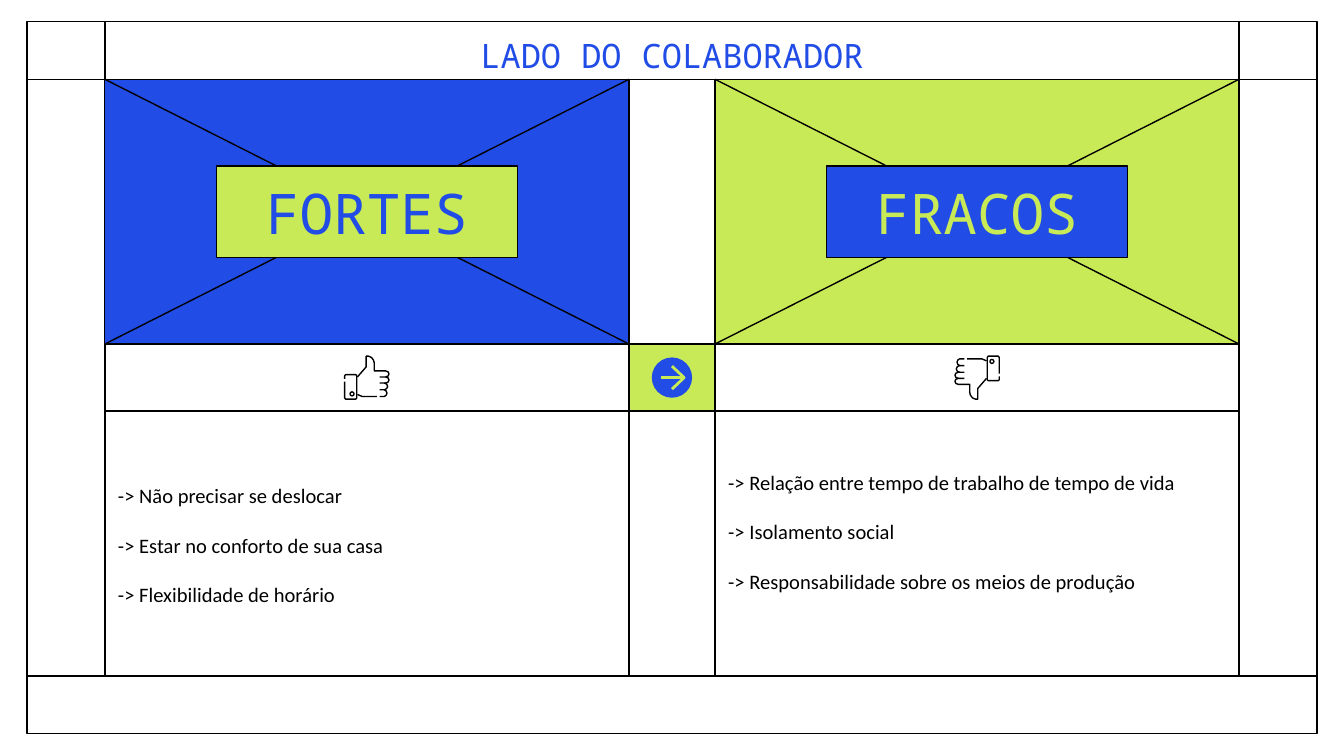
from dataclasses import dataclass

import pptx
import pptx.dml.color
import pptx.enum.shapes
import pptx.enum.text
import pptx.oxml
import pptx.oxml.ns
import pptx.util

Inches = pptx.util.Inches
Pt = pptx.util.Pt
SHAPES = pptx.enum.shapes.MSO_SHAPE
ANCHOR = pptx.enum.text.MSO_ANCHOR
ALIGN = pptx.enum.text.PP_ALIGN

COLORS = {"blue": "224CE6", "lime": "C9EA57", "black": "000000"}
MONO = "Noto Sans Mono"
COLUMN_EDGES = (0.2, 0.78, 4.68, 5.32, 9.22, 9.8)
ROW_EDGES = (0.16, 0.59, 2.56, 3.06, 5.03, 5.46)
MIL = 914.4

THUMB_STROKES = (
    ((-165, 10), (-165, -15), (-158, -22), (-82, -22), (-75, -15), (-75, 150),
     (-82, 160), (-158, 160), (-165, 150), (-165, 30)),
    ((75, 140), (-35, 140), (-70, 125)),
    ((-70, -5), (-5, -80), (-5, -160), (12, -160), (35, -150), (50, -130),
     (55, -110), (55, -50), (140, -50), (158, -43), (165, -28), (158, -12),
     (140, -5), (95, -5)),
    ((140, -5), (158, 2), (165, 18), (158, 33), (140, 40), (95, 40)),
    ((130, 40), (148, 48), (155, 65), (148, 82), (130, 90), (95, 90)),
    ((130, 90), (143, 98), (150, 115), (143, 132), (130, 140), (95, 140)),
    ((-110, 106), (-99, 111), (-95, 121), (-99, 131), (-110, 136),
     (-121, 131), (-125, 121), (-121, 111), (-110, 106)),
)
ARROW_HEAD = (((0, -85), (90, 0), (0, 85)),)


@dataclass(frozen=True)
class Box:
    left: float
    top: float
    width: float
    height: float

    @property
    def center(self) -> tuple[float, float]:
        return self.left + self.width / 2, self.top + self.height / 2

    def inner(self, width: float, height: float) -> "Box":
        x, y = self.center
        return Box(x - width / 2, y - height / 2, width, height)

    def lengths(self) -> list[int]:
        return [Inches(v) for v in (self.left, self.top, self.width, self.height)]


@dataclass(frozen=True)
class Side:
    column: int
    heading: str
    panel_color: str
    label_color: str
    thumb_rotation: int
    points: tuple[str, ...]
    top_inset: float
    bottom_inset: float


SIDES = (
    Side(1, "FORTES", "blue", "lime", 0,
         ("-> Não precisar se deslocar", "-> Estar no conforto de sua casa",
          "-> Flexibilidade de horário"), 0.12, 0.1),
    Side(3, "FRACOS", "lime", "blue", 180,
         ("-> Relação entre tempo de trabalho de tempo de vida",
          "-> Isolamento social",
          "-> Responsabilidade sobre os meios de produção"), 0.1, 0.28),
)


def cell(column: int, row: int, columns: int = 1, rows: int = 1) -> Box:
    left, top = COLUMN_EDGES[column], ROW_EDGES[row]
    return Box(left, top, COLUMN_EDGES[column + columns] - left,
               ROW_EDGES[row + rows] - top)


def rgb(name: str) -> pptx.dml.color.RGBColor:
    return pptx.dml.color.RGBColor.from_string(COLORS[name])


def paint(shape, fill: str | None, line: str | None, width: float = 0.75) -> None:
    if fill:
        shape.fill.solid()
        shape.fill.fore_color.rgb = rgb(fill)
    else:
        shape.fill.background()
    if line:
        shape.line.color.rgb = rgb(line)
        shape.line.width = Pt(width)
    else:
        shape.line.fill.background()


def draw_box(slide, box: Box, fill: str | None = None,
             line: str | None = "black", kind=SHAPES.RECTANGLE):
    shape = slide.shapes.add_shape(kind, *box.lengths())
    shape.shadow.inherit = False
    paint(shape, fill, line)
    return shape


def draw_line(slide, start: tuple[float, float], end: tuple[float, float],
              color: str = "black", width: float = 0.75) -> None:
    line = slide.shapes.add_connector(
        pptx.enum.shapes.MSO_CONNECTOR.STRAIGHT,
        *(Inches(value) for value in (*start, *end)))
    line.line.color.rgb = rgb(color)
    line.line.width = Pt(width)
    line._element.spPr.append(pptx.oxml.parse_xml(
        f'<a:effectLst {pptx.oxml.ns.nsdecls("a")}/>'))


def draw_strokes(slide, center: tuple[float, float], strokes: tuple,
                 color: str, width: float, rotation: int = 0) -> None:
    builder = slide.shapes.build_freeform(*strokes[0][0], scale=MIL)
    for index, stroke in enumerate(strokes):
        if index:
            builder.move_to(*stroke[0])
        builder.add_line_segments(stroke[1:], close=False)
    shape = builder.convert_to_shape(*(Inches(value) for value in center))
    shape.shadow.inherit = False
    paint(shape, None, color, width)
    shape.rotation = rotation


def write(shape, lines: tuple[str, ...], font: str, size: float, color: str,
          align=ALIGN.CENTER, anchor=ANCHOR.MIDDLE, gap: float = 0,
          top_inset: float = 0.1, bottom_inset: float = 0.1) -> None:
    frame = shape.text_frame
    frame.word_wrap = True
    frame.auto_size = pptx.enum.text.MSO_AUTO_SIZE.NONE
    frame.vertical_anchor = anchor
    frame.margin_left = frame.margin_right = Inches(0.1)
    frame.margin_top = Inches(top_inset)
    frame.margin_bottom = Inches(bottom_inset)
    for index, line in enumerate(lines):
        paragraph = frame.add_paragraph() if index else frame.paragraphs[0]
        paragraph.alignment = align
        if index:
            paragraph.space_before = Pt(gap)
        run = paragraph.add_run()
        run.text = line
        run.font.name = font
        run.font.size = Pt(size)
        run.font.color.rgb = rgb(color)


def draw_frame(slide) -> None:
    left, right = COLUMN_EDGES[0], COLUMN_EDGES[-1]
    draw_box(slide, cell(0, 0, 5, 5))
    for row in (1, 4):
        draw_line(slide, (left, ROW_EDGES[row]), (right, ROW_EDGES[row]))
    for column in (1, 4):
        x = COLUMN_EDGES[column]
        draw_line(slide, (x, ROW_EDGES[1]), (x, ROW_EDGES[4]))


def draw_side(slide, side: Side) -> None:
    panel = cell(side.column, 1)
    right, bottom = panel.left + panel.width, panel.top + panel.height
    draw_box(slide, panel, side.panel_color)
    draw_line(slide, (panel.left, panel.top), (right, bottom))
    draw_line(slide, (right, panel.top), (panel.left, bottom))
    label = draw_box(slide, panel.inner(2.24, 0.68), side.label_color)
    write(label, (side.heading,), MONO, 30, side.panel_color)
    draw_strokes(slide, cell(side.column, 2).center, THUMB_STROKES, "black",
                 0.75, side.thumb_rotation)
    body = draw_box(slide, cell(side.column, 3))
    write(body, side.points, "Calibri", 11, "black", ALIGN.LEFT, gap=13.2,
          top_inset=side.top_inset, bottom_inset=side.bottom_inset)


def draw_arrow(slide) -> None:
    box = cell(2, 2)
    x, y = box.center
    draw_box(slide, box, "lime")
    draw_box(slide, box.inner(0.3, 0.3), "blue", None, SHAPES.OVAL)
    draw_line(slide, (x - 0.08, y), (x + 0.09, y), "lime", 1.5)
    draw_strokes(slide, (x, y), ARROW_HEAD, "lime", 1.5)


def main() -> None:
    presentation = pptx.Presentation()
    presentation.slide_width = Inches(10)
    presentation.slide_height = presentation.slide_width * 9 // 16
    slide = presentation.slides.add_slide(presentation.slide_layouts[5])
    draw_frame(slide)
    for side in SIDES:
        draw_side(slide, side)
    draw_arrow(slide)
    title = slide.shapes.title
    title.left, title.top, title.width, title.height = cell(1, 0, 3).lengths()
    paint(title, None, "black")
    write(title, ("LADO DO COLABORADOR",), MONO, 18, "blue", anchor=ANCHOR.TOP)
    presentation.save("out.pptx")


if __name__ == "__main__":
    main()
